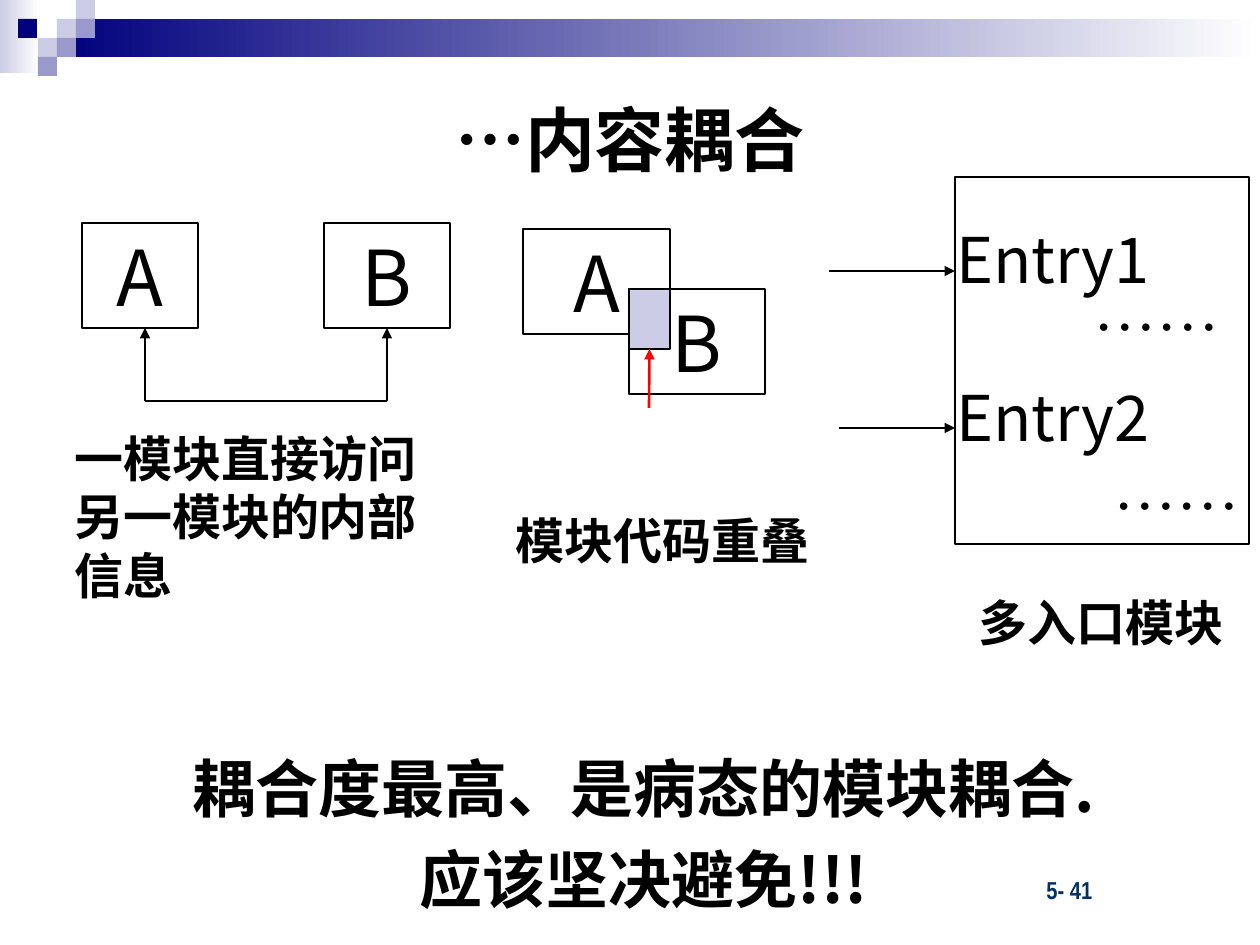
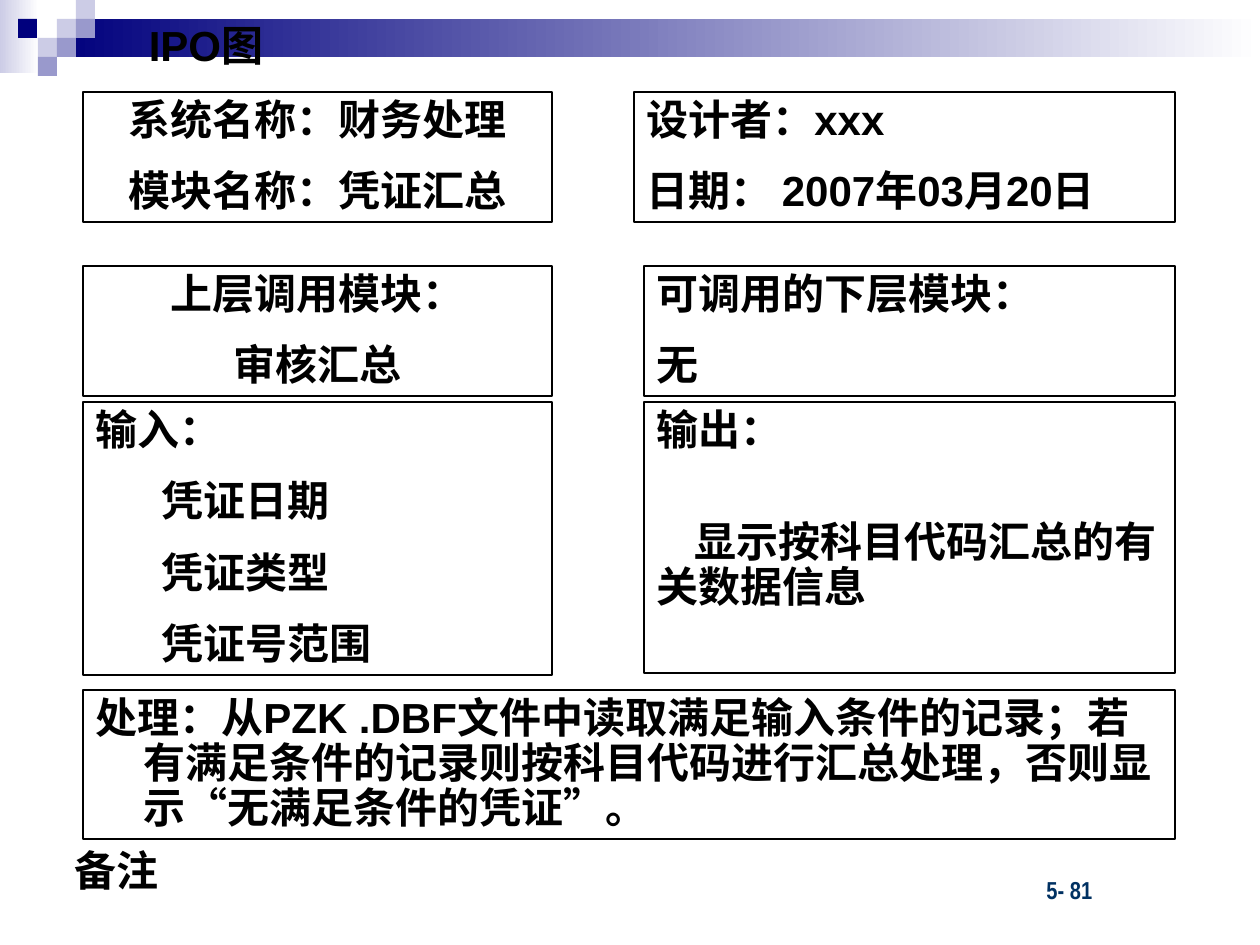
"""Build two software design slides: content coupling and an IPO chart."""
import pptx
import pptx.util
import pptx.dml.color
import pptx.enum.shapes
import pptx.enum.text
import pptx.oxml.ns
import lxml.etree

EMU_PER_PX = 914400 / 126
BLACK = pptx.dml.color.RGBColor(0x00, 0x00, 0x00)
WHITE = pptx.dml.color.RGBColor(0xFF, 0xFF, 0xFF)
RED = pptx.dml.color.RGBColor(0xFF, 0x00, 0x00)
NAVY = pptx.dml.color.RGBColor(0x00, 0x00, 0x7D)
LILAC = pptx.dml.color.RGBColor(0xCC, 0xCC, 0xE6)
VIOLET = pptx.dml.color.RGBColor(0x99, 0x99, 0xCC)
FOOTER_BLUE = pptx.dml.color.RGBColor(0x00, 0x31, 0x62)
HAN_FONT = "Noto Sans CJK SC"
SERIF_FONT = "Times New Roman"
LEFT = pptx.enum.text.PP_ALIGN.LEFT
CENTER = pptx.enum.text.PP_ALIGN.CENTER
RECTANGLE = pptx.enum.shapes.MSO_SHAPE.RECTANGLE
STRAIGHT = pptx.enum.shapes.MSO_CONNECTOR.STRAIGHT
LINE_HEIGHT = 1.2
TIGHT_LINE_HEIGHT = 1.08


def write_text(shape, lines, size, font=HAN_FONT, bold=True, align=LEFT, color=BLACK,
               line_height=LINE_HEIGHT, space=0, wrap=True, indents=()):
    """Write one paragraph per line; indents holds (left, first line) px pairs."""
    frame = shape.text_frame
    frame.word_wrap = wrap
    for index, line in enumerate(lines):
        paragraph = frame.paragraphs[0] if index == 0 else frame.add_paragraph()
        paragraph.alignment = align
        paragraph.line_spacing = pptx.util.Pt(round(size * line_height, 1))
        paragraph.space_before = pptx.util.Pt(space if index else 0)
        if indents:
            left, first = indents[index]
            properties = paragraph._p.get_or_add_pPr()
            properties.set("marL", str(round(left * EMU_PER_PX)))
            properties.set("indent", str(round(first * EMU_PER_PX)))
        run = paragraph.add_run()
        run.text = line
        run.font.size = pptx.util.Pt(size)
        run.font.bold = bold
        run.font.color.rgb = color
        run.font.name = font
        east_asian = lxml.etree.SubElement(run._r.get_or_add_rPr(), pptx.oxml.ns.qn("a:ea"))
        east_asian.set("typeface", SERIF_FONT if font == SERIF_FONT else HAN_FONT)


def add_line(slide, points, width, color=BLACK, arrow=True):
    """Draw a straight line between two px points, with an optional arrowhead."""
    connector = slide.shapes.add_connector(STRAIGHT, *(round(n * EMU_PER_PX) for n in points))
    connector.line.color.rgb = color
    connector.line.width = pptx.util.Pt(width)
    if arrow:
        line = connector.line._get_or_add_ln()
        lxml.etree.SubElement(line, pptx.oxml.ns.qn("a:tailEnd")).set("type", "triangle")
    lxml.etree.SubElement(connector._element.spPr, pptx.oxml.ns.qn("a:effectLst"))
    return connector


presentation = pptx.Presentation()
presentation.slide_width = round(1260 * EMU_PER_PX)
presentation.slide_height = round(945 * EMU_PER_PX)

GRADIENT_BANDS = [((0, 0, 39, 73), LILAC), ((57, 19, 1203, 38), NAVY)]
SQUARES = [(57, 19, LILAC), (76, 0, LILAC), (76, 19, VIOLET), (38, 38, LILAC),
           (18, 19, NAVY), (57, 38, VIOLET), (38, 57, VIOLET)]
SLIDE_TITLES = [
    ("…内容耦合", (63, 63, 1134, 151), 40, LINE_HEIGHT, "5- 41"),
    ("IPO图", (84, 18, 244, 58), 24, TIGHT_LINE_HEIGHT, "5- 81"),
]

slides = []
for title_text, bounds, size, line_height, page in SLIDE_TITLES:
    slide = presentation.slides.add_slide(presentation.slide_layouts[5])
    slides.append(slide)
    for band_bounds, color in GRADIENT_BANDS:
        band = slide.shapes.add_shape(RECTANGLE, *(round(n * EMU_PER_PX) for n in band_bounds))
        band.shadow.inherit = False
        band.line.fill.background()
        band.fill.gradient()
        band.fill.gradient_angle = 0
        for stop, stop_color in zip(band.fill.gradient_stops, (color, WHITE)):
            stop.color.rgb = stop_color
    for left, top, color in SQUARES:
        square = slide.shapes.add_shape(
            RECTANGLE, *(round(n * EMU_PER_PX) for n in (left, top, 19, 19)))
        square.shadow.inherit = False
        square.line.fill.background()
        square.fill.solid()
        square.fill.fore_color.rgb = color
    footer = slide.shapes.add_textbox(*(round(n * EMU_PER_PX) for n in (1034, 869, 145, 42)))
    write_text(footer, [page], 14, "Arial Narrow", color=FOOTER_BLUE)
    title = slide.shapes.title
    title.left, title.top, title.width, title.height = (round(n * EMU_PER_PX) for n in bounds)
    title.text_frame.vertical_anchor = pptx.enum.text.MSO_ANCHOR.MIDDLE
    write_text(title, [title_text], size, "Arial", align=CENTER,
               line_height=line_height, wrap=False)
    title._element.getparent().append(title._element)

coupling_slide, ipo_slide = slides

MODULES = [("A", (82, 223, 116, 105)), ("B", (324, 223, 126, 105)),
           ("A", (523, 229, 147, 105)), ("B", (629, 289, 136, 105))]
module_boxes = []
for name, bounds in MODULES:
    module = coupling_slide.shapes.add_textbox(*(round(n * EMU_PER_PX) for n in bounds))
    module.line.color.rgb = BLACK
    module.line.width = pptx.util.Pt(0.75)
    write_text(module, [name], 44, bold=False, align=CENTER)
    module_boxes.append(module)

overlap = coupling_slide.shapes.add_shape(
    RECTANGLE, *(round(n * EMU_PER_PX) for n in (629, 289, 41, 60)))
overlap.fill.solid()
overlap.fill.fore_color.rgb = LILAC
entry_module = coupling_slide.shapes.add_shape(
    RECTANGLE, *(round(n * EMU_PER_PX) for n in (955, 177, 294, 367)))
entry_module.fill.background()
for shape in (overlap, entry_module):
    shape.shadow.inherit = False
    shape.line.color.rgb = BLACK
    shape.line.width = pptx.util.Pt(0.75)

add_line(coupling_slide, (145, 401, 145, 328), 1.5)
access_arrow = add_line(coupling_slide, (387, 401, 387, 328), 1.5)
access_arrow.end_connect(module_boxes[1], 2)
add_line(coupling_slide, (145, 401, 387, 401), 1.5, arrow=False)
overlap_arrow = add_line(coupling_slide, (649, 408, 649, 349), 1.5, RED)
overlap_arrow.end_connect(overlap, 2)
for start, y in ((829, 271), (839, 428)):
    add_line(coupling_slide, (start, y, 955, y), 0.75)

ENTRY_LABELS = [("Entry1", (927, 214, 252, 88), HAN_FONT),
                ("Entry2", (927, 372, 252, 88), HAN_FONT),
                ("……", (1081, 261, 151, 88), SERIF_FONT),
                ("……", (1101, 440, 151, 88), SERIF_FONT)]
for text, bounds, font in ENTRY_LABELS:
    label = coupling_slide.shapes.add_textbox(*(round(n * EMU_PER_PX) for n in bounds))
    write_text(label, [text], 36, font, bold=False, align=CENTER, wrap=False)

CAPTIONS = [
    (["一模块直接访问另一模块的内部信息"], (62, 422, 388, 189), 28, LEFT, True),
    (["模块代码重叠"], (503, 504, 319, 72), 28, CENTER, False),
    (["多入口模块"], (966, 586, 270, 72), 28, CENTER, False),
    (["耦合度最高、是病态的模块耦合.", "应该坚决避免!!!"],
     (135, 743, 1018, 180), 36, CENTER, True),
]
for lines, bounds, size, align, wrap in CAPTIONS:
    caption = coupling_slide.shapes.add_textbox(*(round(n * EMU_PER_PX) for n in bounds))
    write_text(caption, lines, size, align=align, space=9, wrap=wrap)

IPO_BOXES = [
    (["系统名称：财务处理", "模块名称：凭证汇总"], (83, 92, 469, 130), CENTER, 15, ()),
    (["设计者：xxx", "日期： 2007年03月20日"], (634, 92, 541, 130), LEFT, 15, ()),
    (["上层调用模块：", "审核汇总"], (83, 266, 469, 130), CENTER, 15, ()),
    (["可调用的下层模块：", "无"], (644, 266, 531, 130), LEFT, 15, ()),
    (["输入：", "凭证日期", "凭证类型", "凭证号范围"], (83, 402, 469, 273), LEFT, 15,
     [(0, 0)] + [(66, 0)] * 3),
    (["输出：", "显示按科目代码汇总的有关数据信息"], (644, 402, 531, 271), LEFT, 38,
     [(0, 0), (0, 38)]),
    (["处理：从PZK .DBF文件中读取满足输入条件的记录；若有满足条件的记录则按科目代码"
      "进行汇总处理，否则显示“无满足条件的凭证”。"], (83, 690, 1092, 149), LEFT, 0,
     [(48, -48)]),
]
for lines, bounds, align, space, indents in IPO_BOXES:
    box = ipo_slide.shapes.add_textbox(*(round(n * EMU_PER_PX) for n in bounds))
    box.line.color.rgb = BLACK
    box.line.width = pptx.util.Pt(0.75)
    write_text(box, lines, 24, "Arial", align=align, line_height=TIGHT_LINE_HEIGHT,
               space=space, indents=indents)

remark = ipo_slide.shapes.add_textbox(*(round(n * EMU_PER_PX) for n in (62, 843, 346, 58)))
write_text(remark, ["备注"], 24, "Arial", line_height=TIGHT_LINE_HEIGHT)

presentation.save("out.pptx")
